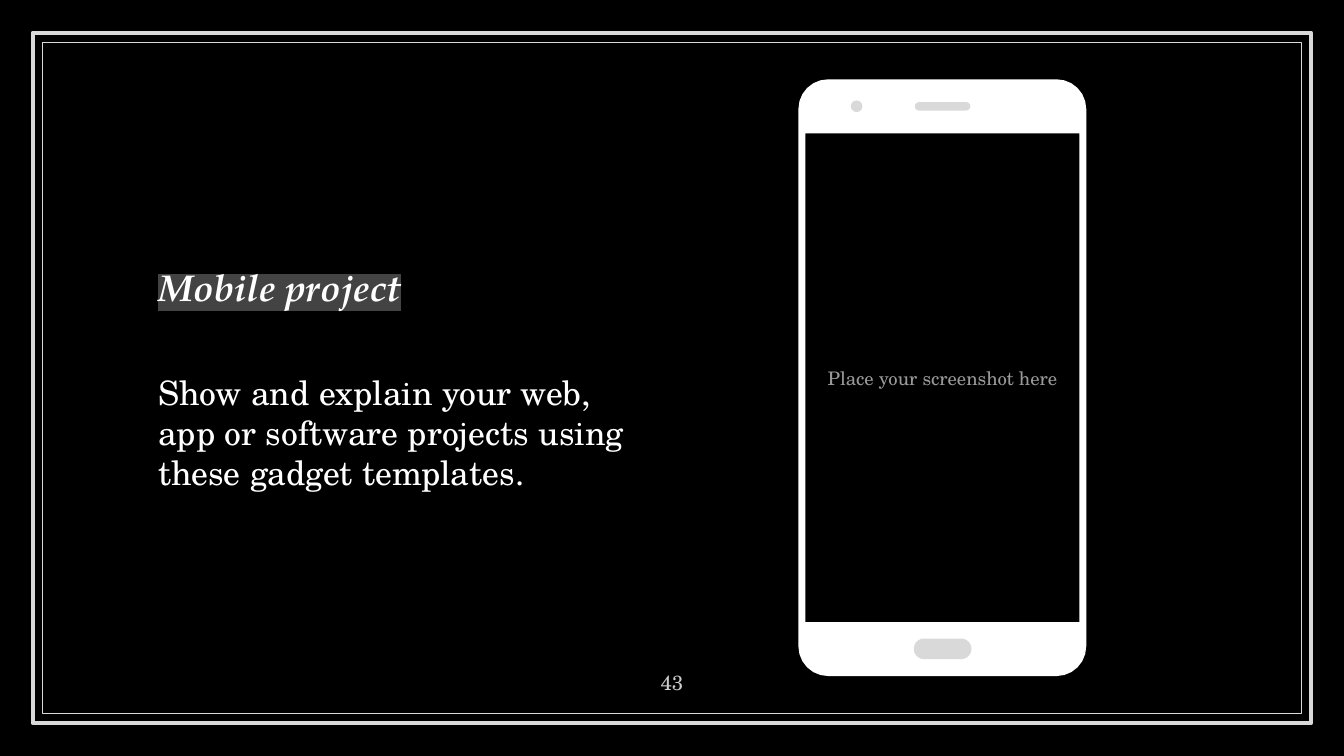
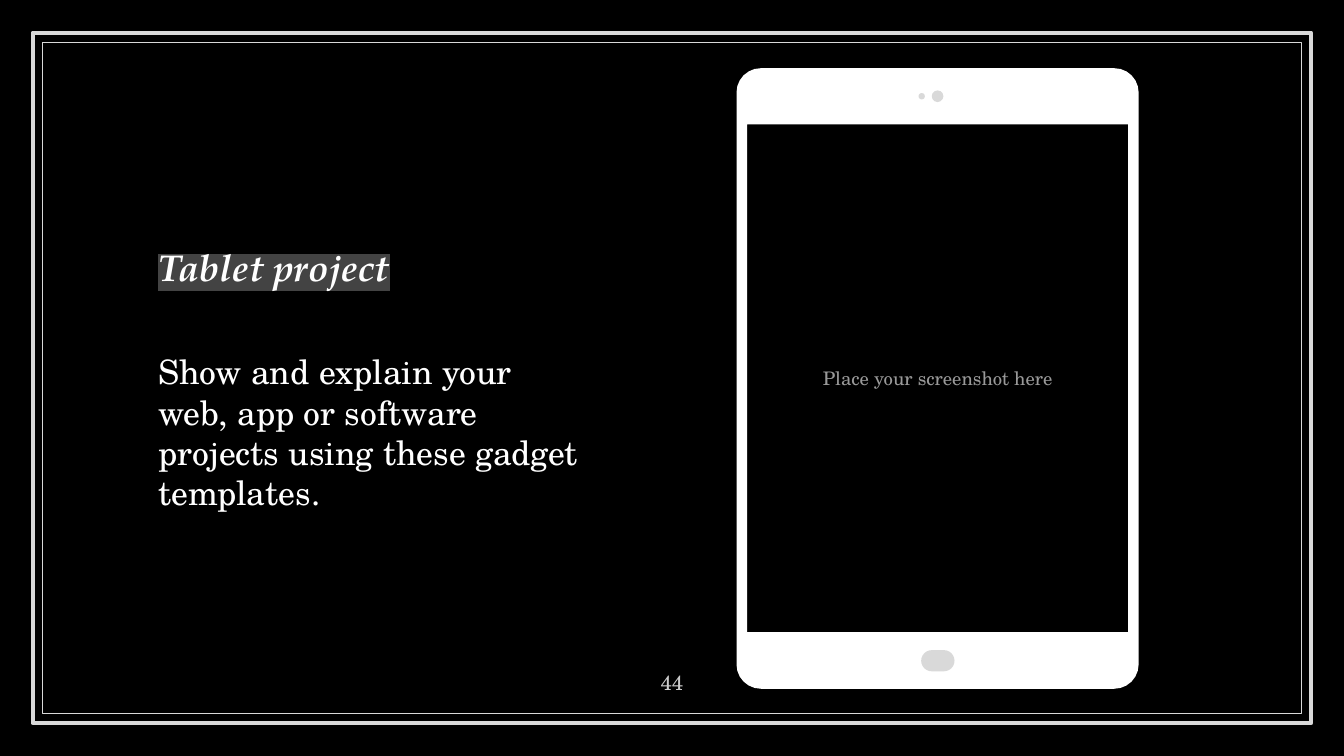
from dataclasses import dataclass
from math import cos, radians, sin
from typing import NamedTuple

from lxml import etree
from pptx import Presentation
from pptx.dml.color import RGBColor
from pptx.enum.shapes import MSO_SHAPE
from pptx.enum.text import MSO_ANCHOR, PP_ALIGN
from pptx.oxml.ns import qn
from pptx.shapes.shapetree import GroupShapes
from pptx.slide import Slide
from pptx.text.text import TextFrame
from pptx.util import Cm, Pt

BLACK = RGBColor(0x00, 0x00, 0x00)
WHITE = RGBColor(0xFF, 0xFF, 0xFF)
SILVER = RGBColor(0xD9, 0xD9, 0xD9)
NUMBER_GREY = RGBColor(0xCC, 0xCC, 0xCC)
HINT_GREY = RGBColor(0x99, 0x99, 0x99)
HIGHLIGHT_GREY = RGBColor(0x43, 0x43, 0x43)

HEADING_FONT = "TeX Gyre Pagella"
BODY_FONT = "TeX Gyre Schola"

RECTANGLE = MSO_SHAPE.RECTANGLE
PILL = MSO_SHAPE.ROUNDED_RECTANGLE
CIRCLE = MSO_SHAPE.OVAL
LEFT, CENTER = PP_ALIGN.LEFT, PP_ALIGN.CENTER
MIDDLE, BOTTOM = MSO_ANCHOR.MIDDLE, MSO_ANCHOR.BOTTOM

SLIDE_WIDTH, SLIDE_HEIGHT = 25.4, 14.29
TEXT_INSET = Cm(0.25)
CORNER_STEP = 6
EXPLANATION = (
    "Show and explain your web, app or software projects using these gadget templates."
)
HINT = "Place your screenshot here"


class Box(NamedTuple):
    left: float
    top: float
    width: float
    height: float

    def lengths(self) -> tuple[Cm, Cm, Cm, Cm]:
        return Cm(self.left), Cm(self.top), Cm(self.width), Cm(self.height)


class Frame(NamedTuple):
    margin: float
    weight: float


class Detail(NamedTuple):
    kind: MSO_SHAPE
    box: Box


@dataclass(frozen=True)
class Device:
    body: Box
    corner: float
    screen: Box
    details: tuple[Detail, ...]


@dataclass(frozen=True)
class Project:
    number: int
    heading: str
    text_width: float
    device: Device


FRAMES = (Frame(0.62, 2.25), Frame(0.8, 0.75))
NUMBER_BOX = Box(11.94, 12.27, 1.52, 1.09)

PHONE = Device(
    body=Box(15.09, 1.5, 5.44, 11.28),
    corner=0.56,
    screen=Box(15.22, 2.52, 5.18, 9.24),
    details=(
        Detail(PILL, Box(17.27, 12.07, 1.09, 0.39)),
        Detail(CIRCLE, Box(16.08, 1.9, 0.22, 0.22)),
        Detail(PILL, Box(17.29, 1.93, 1.05, 0.16)),
    ),
)
TABLET = Device(
    body=Box(13.92, 1.29, 7.6, 11.73),
    corner=0.46,
    screen=Box(14.12, 2.35, 7.2, 9.6),
    details=(
        Detail(PILL, Box(17.41, 12.29, 0.63, 0.4)),
        Detail(CIRCLE, Box(17.36, 1.76, 0.12, 0.12)),
        Detail(CIRCLE, Box(17.61, 1.71, 0.22, 0.22)),
    ),
)
PROJECTS = (
    Project(43, "Mobile project", 9.93, PHONE),
    Project(44, "Tablet project", 8.66, TABLET),
)


def add_text_frame(slide: Slide, box: Box, anchor: MSO_ANCHOR) -> TextFrame:
    frame = slide.shapes.add_textbox(*box.lengths()).text_frame
    frame.word_wrap = True
    frame.vertical_anchor = anchor
    frame.margin_left = frame.margin_right = TEXT_INSET
    frame.margin_top = frame.margin_bottom = TEXT_INSET
    return frame


def write(
    frame: TextFrame,
    text: str,
    *,
    size: float,
    color: RGBColor,
    font: str = BODY_FONT,
    emphasis: bool = False,
    highlight: RGBColor | None = None,
    align: PP_ALIGN = LEFT,
    space_before: float = 0,
) -> None:
    paragraph = frame.paragraphs[-1]
    if paragraph.runs:
        paragraph = frame.add_paragraph()
    paragraph.alignment = align
    paragraph.space_before = Pt(space_before)
    run = paragraph.add_run()
    run.text = text
    run.font.name = font
    run.font.size = Pt(size)
    run.font.bold = run.font.italic = emphasis
    run.font.color.rgb = color
    if highlight is not None:
        marker = etree.Element(qn("a:highlight"))
        etree.SubElement(marker, qn("a:srgbClr"), val=str(highlight))
        run.font.fill._xPr.find(qn("a:latin")).addprevious(marker)


def add_frame(slide: Slide, frame: Frame) -> None:
    box = Box(
        frame.margin,
        frame.margin,
        SLIDE_WIDTH - 2 * frame.margin,
        SLIDE_HEIGHT - 2 * frame.margin,
    )
    border = slide.shapes.add_shape(RECTANGLE, *box.lengths())
    border.shadow.inherit = False
    border.fill.background()
    border.line.color.rgb = SILVER
    border.line.width = Pt(frame.weight)


def rounded_outline(box: Box, radius: float) -> list[tuple[Cm, Cm]]:
    near_x, far_x = box.left + radius, box.left + box.width - radius
    near_y, far_y = box.top + radius, box.top + box.height - radius
    centers = ((far_x, far_y), (near_x, far_y), (near_x, near_y), (far_x, near_y))
    return [
        (
            Cm(x + radius * cos(radians(90 * quarter + 90 * step / CORNER_STEP))),
            Cm(y + radius * sin(radians(90 * quarter + 90 * step / CORNER_STEP))),
        )
        for quarter, (x, y) in enumerate(centers)
        for step in range(CORNER_STEP + 1)
    ]


def add_casing(shapes: GroupShapes, device: Device) -> None:
    outer = rounded_outline(device.body, device.corner)
    left, top, width, height = device.screen.lengths()
    opening = [
        (left, top),
        (left, top + height),
        (left + width, top + height),
        (left + width, top),
    ]
    builder = shapes.build_freeform(*outer[0])
    builder.add_line_segments(outer[1:], close=True)
    builder.move_to(*opening[0])
    builder.add_line_segments(opening[1:], close=True)
    casing = builder.convert_to_shape()
    casing.shadow.inherit = False
    casing.fill.solid()
    casing.fill.fore_color.rgb = WHITE
    casing.line.fill.background()


def add_detail(shapes: GroupShapes, detail: Detail) -> None:
    part = shapes.add_shape(detail.kind, *detail.box.lengths())
    if detail.kind == PILL:
        part.adjustments[0] = 0.5
    part.shadow.inherit = False
    part.fill.solid()
    part.fill.fore_color.rgb = SILVER
    part.line.fill.background()


def add_device(slide: Slide, device: Device) -> None:
    hint = add_text_frame(slide, device.screen, MIDDLE)
    write(hint, HINT, size=10, color=HINT_GREY, align=CENTER)
    shapes = slide.shapes.add_group_shape().shapes
    add_casing(shapes, device)
    for detail in device.details:
        add_detail(shapes, detail)


def add_project(slide: Slide, project: Project) -> None:
    slide.background.fill.solid()
    slide.background.fill.fore_color.rgb = BLACK
    for frame in FRAMES:
        add_frame(slide, frame)
    story = add_text_frame(slide, Box(2.74, 2.26, project.text_width, 9.78), MIDDLE)
    write(
        story,
        project.heading,
        size=20,
        color=WHITE,
        font=HEADING_FONT,
        emphasis=True,
        highlight=HIGHLIGHT_GREY,
        space_before=6,
    )
    write(story, EXPLANATION, size=18, color=WHITE, space_before=33.6)
    number = add_text_frame(slide, NUMBER_BOX, BOTTOM)
    write(number, str(project.number), size=11, color=NUMBER_GREY, align=CENTER)
    add_device(slide, project.device)


def main() -> None:
    deck = Presentation()
    deck.slide_width, deck.slide_height = Cm(SLIDE_WIDTH), Cm(SLIDE_HEIGHT)
    blank = deck.slide_layouts[6]
    for project in PROJECTS:
        add_project(deck.slides.add_slide(blank), project)
    deck.save("out.pptx")


if __name__ == "__main__":
    main()
